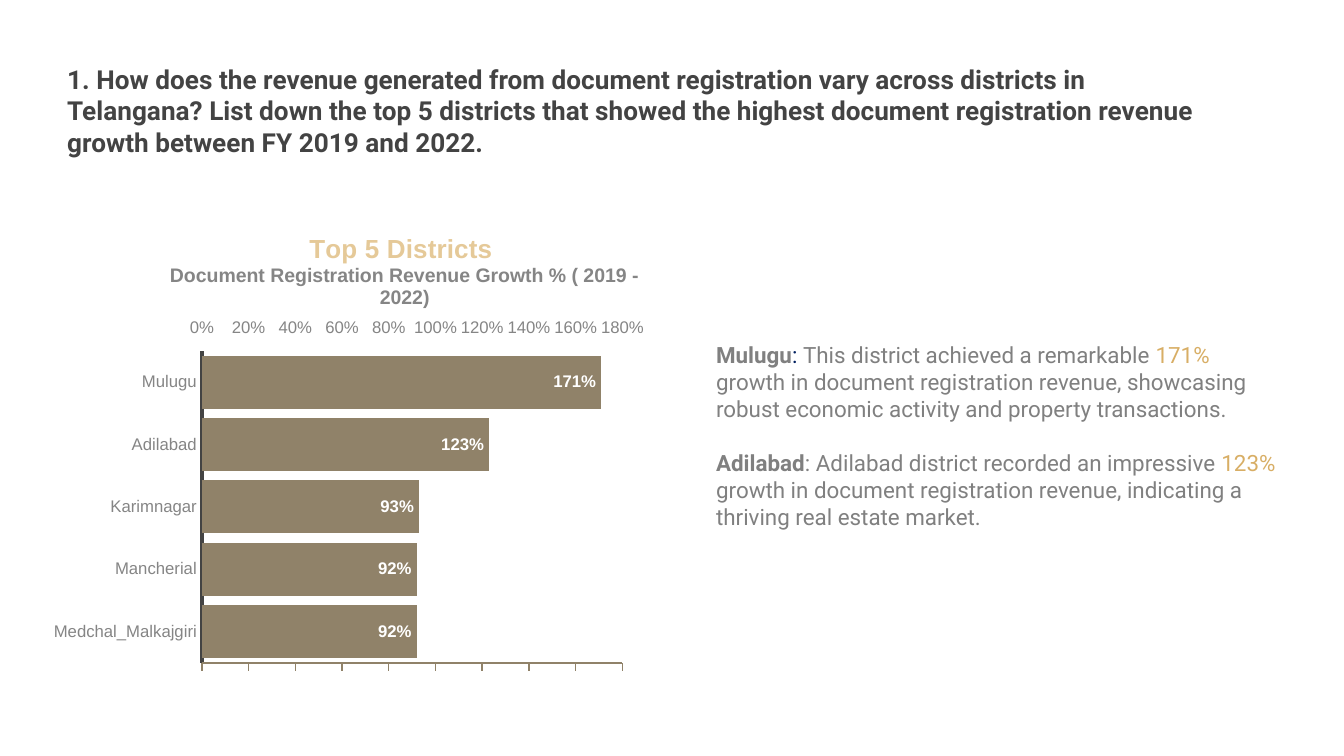
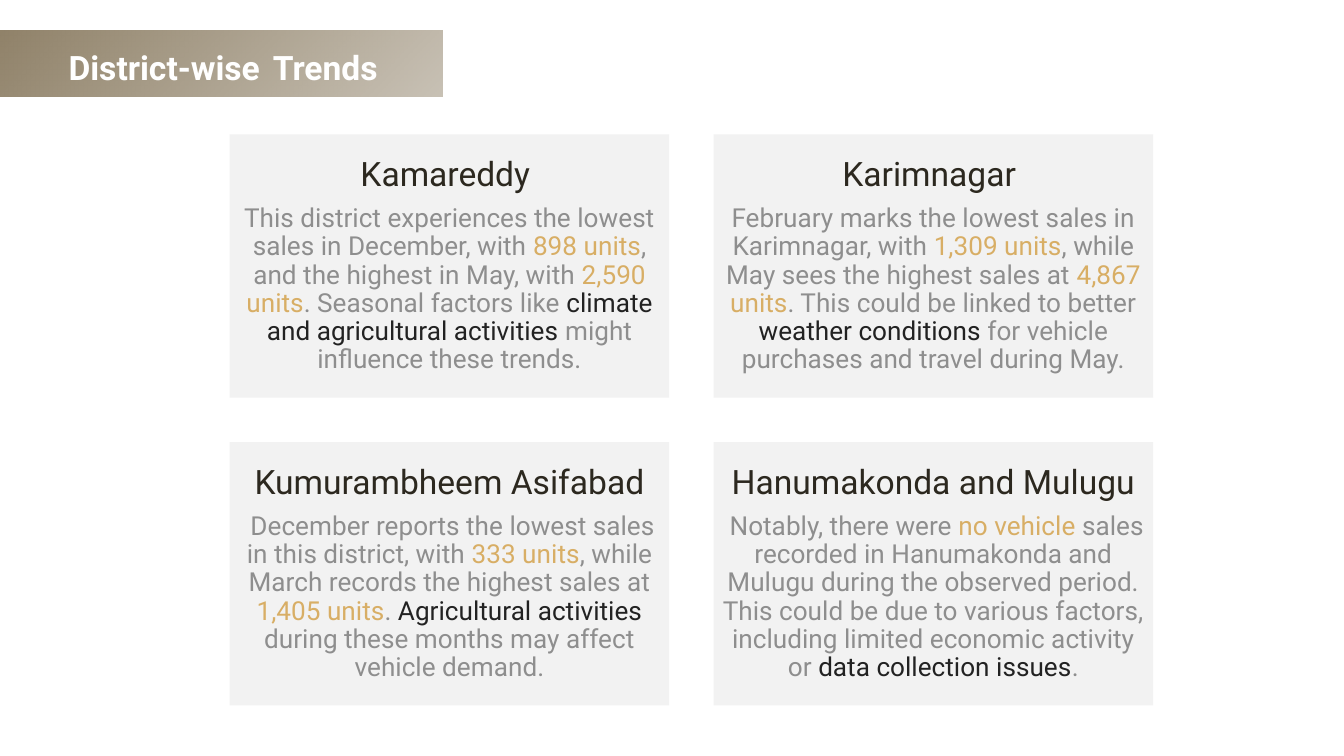
from dataclasses import dataclass

from lxml import etree
from pptx import Presentation
from pptx import util as u
from pptx.chart import data as chart_data
from pptx.dml.color import RGBColor
from pptx.enum import chart as charts, shapes, text
from pptx.oxml import ns

# Shared style
COLORS = {
    "heading": "434343",
    "bronze": "908269",
    "gold": "D8AE65",
    "pale_gold": "E5C998",
    "gray": "808080",
    "axis_gray": "858585",
    "card_gray": "8E8E8E",
    "card_heading": "2C281F",
    "card_fill": "F2F2F2",
    "ink": "222222",
    "navy": "002060",
    "white": "FFFFFF",
}
FONT = "Roboto"
CHART_FONT = "Arial"


@dataclass(frozen=True)
class Span:
    text: str
    color: str
    size: float = 14
    bold: bool = False
    font: str = FONT


@dataclass(frozen=True)
class Box:
    left: float
    top: float
    width: float
    height: float

    def inches(self) -> tuple:
        return tuple(map(u.Inches, (self.left, self.top, self.width, self.height)))


@dataclass(frozen=True)
class Card:
    heading: str
    body: tuple


def rgb(name: str) -> RGBColor:
    return RGBColor.from_string(COLORS[name])


# Text helpers
def set_font(font, *, color: str, size: float, bold: bool = False, name: str = FONT) -> None:
    font.name, font.size, font.bold = name, u.Pt(size), bold
    font.color.rgb = rgb(color)


def add_text(paragraph, content: str, *, color: str, size: float,
             bold: bool = False, font: str = FONT) -> None:
    """Append text to a paragraph; a newline becomes a line break."""
    for index, line in enumerate(content.split("\n")):
        if index:
            paragraph.add_line_break()
        run = paragraph.add_run()
        run.text = line
        set_font(run.font, color=color, size=size, bold=bold, name=font)


def write(frame, paragraphs: list, align=text.PP_ALIGN.LEFT) -> None:
    for index, spans in enumerate(paragraphs):
        paragraph = frame.add_paragraph() if index else frame.paragraphs[0]
        paragraph.alignment = align
        for span in spans:
            add_text(paragraph, span.text, color=span.color, size=span.size,
                     bold=span.bold, font=span.font)


def prepare_frame(frame, inset: float, anchor=text.MSO_ANCHOR.TOP) -> None:
    frame.word_wrap = True
    frame.auto_size = text.MSO_AUTO_SIZE.NONE
    frame.vertical_anchor = anchor
    frame.margin_left = frame.margin_right = u.Inches(inset)
    frame.margin_top = frame.margin_bottom = u.Inches(inset)


def add_titled_slide(presentation, box: Box, spans: list):
    slide = presentation.slides.add_slide(presentation.slide_layouts[5])
    title = slide.shapes.title
    title.left, title.top, title.width, title.height = box.inches()
    prepare_frame(title.text_frame, 0.1)
    write(title.text_frame, [spans])
    return slide


def add_rectangle(slide, box: Box):
    shape = slide.shapes.add_shape(shapes.MSO_SHAPE.RECTANGLE, *box.inches())
    shape.shadow.inherit = False
    shape.line.fill.background()
    return shape


# Chart
def add_layout(parent, fractions: dict, after: str = "", inner: bool = False) -> None:
    """Give a chart part a fixed place, as fractions of the chart."""
    for old in parent.findall(ns.qn("c:layout")):
        parent.remove(old)
    layout = etree.Element(ns.qn("c:layout"))
    manual = etree.SubElement(layout, ns.qn("c:manualLayout"))
    values = {"layoutTarget": "inner"} if inner else {}
    values |= {"xMode": "edge", "yMode": "edge"} | fractions
    for tag, value in values.items():
        etree.SubElement(manual, ns.qn(f"c:{tag}")).set("val", str(value))
    if after:
        parent.find(ns.qn(after)).addnext(layout)
    else:
        parent.insert(0, layout)


def style_axis(axis, tick, color: str, width: float) -> None:
    axis.has_major_gridlines = False
    axis.major_tick_mark = tick
    axis.minor_tick_mark = charts.XL_TICK_MARK.NONE
    set_font(axis.tick_labels.font, color="axis_gray", size=9, name=CHART_FONT)
    axis.format.line.color.rgb = rgb(color)
    axis.format.line.width = u.Pt(width)


def add_growth_chart(slide, box: Box, growth: dict) -> None:
    data = chart_data.CategoryChartData(number_format="0%")
    data.categories = list(growth)
    data.add_series("Series 1", list(growth.values()))
    chart = slide.shapes.add_chart(
        charts.XL_CHART_TYPE.BAR_CLUSTERED, *box.inches(), data).chart
    set_font(chart.font, color="heading", size=10, name=CHART_FONT)
    chart.has_legend = False

    title = chart.chart_title
    write(title.text_frame, [
        [Span("Top 5 Districts ", "pale_gold", 14, True, CHART_FONT)],
        [Span("Document Registration Revenue Growth % ( 2019 - 2022)",
              "axis_gray", 10.5, True, CHART_FONT)],
    ], text.PP_ALIGN.CENTER)
    title.include_in_layout = False
    add_layout(title._element, {"x": 0.18, "y": 0.03}, after="c:tx")
    add_layout(chart._chartSpace.chart.plotArea,
               {"x": 0.24, "y": 0.29, "w": 0.7, "h": 0.66}, inner=True)

    # The value axis runs along the top
    style_axis(chart.category_axis, charts.XL_TICK_MARK.NONE, "heading", 1.75)
    value_axis = chart.value_axis
    style_axis(value_axis, charts.XL_TICK_MARK.OUTSIDE, "bronze", 0.75)
    chart.category_axis.crosses = charts.XL_AXIS_CROSSES.MAXIMUM
    value_axis._element.find(ns.qn("c:axPos")).set("val", "t")
    value_axis.tick_label_position = charts.XL_TICK_LABEL_POSITION.HIGH
    value_axis.minimum_scale, value_axis.maximum_scale = 0, 1.8
    value_axis.major_unit = 0.2
    value_axis.tick_labels.number_format = "0%"
    value_axis.tick_labels.number_format_is_linked = False

    plot = chart.plots[0]
    plot.gap_width = 18
    plot.vary_by_categories = False
    fill = plot.series[0].format.fill
    fill.solid()
    fill.fore_color.rgb = rgb("bronze")
    labels = plot.series[0].data_labels
    labels.show_value = True
    labels.position = charts.XL_LABEL_POSITION.INSIDE_END
    labels.number_format, labels.number_format_is_linked = "0%", False
    set_font(labels.font, color="white", size=9, bold=True, name=CHART_FONT)


# Band and cards
def add_band(slide, box: Box) -> None:
    band = add_rectangle(slide, box)
    band.fill.gradient()
    band.fill.gradient_angle = 315
    for stop in band.fill.gradient_stops:
        stop.color.rgb = rgb("bronze")
    last_color = band.element.findall(".//" + ns.qn("a:gs"))[-1][0]
    etree.SubElement(last_color, ns.qn("a:alpha")).set("val", "49000")
    slide.shapes.title.element.addprevious(band.element)


def add_card(slide, box: Box, card: Card) -> None:
    shape = add_rectangle(slide, box)
    shape.fill.solid()
    shape.fill.fore_color.rgb = rgb("card_fill")
    frame = shape.text_frame
    prepare_frame(frame, 0.06, text.MSO_ANCHOR.MIDDLE)
    write(frame, [[Span(card.heading, "card_heading", 18)], card.body],
          text.PP_ALIGN.CENTER)
    for paragraph in frame.paragraphs:
        paragraph.line_spacing = 0.9
    frame.paragraphs[0].space_after = u.Pt(6)


def plain(content: str) -> Span:
    return Span(content, "card_gray")


def figure(content: str) -> Span:
    return Span(content, "gold")


def cause(content: str) -> Span:
    return Span(content, "ink")


CARDS = [
    Card("Kamareddy ", (
        plain("This district experiences the lowest sales in December, with "),
        figure("898 units"), plain(", and the highest in May, with "),
        figure("2,590 units"), plain(". Seasonal factors like "),
        cause("climate and agricultural activities "),
        plain("might influence these trends."))),
    Card("Karimnagar ", (
        plain("February marks the lowest sales in Karimnagar, with "),
        figure("1,309 units"), plain(", while May sees the highest sales at "),
        figure("4,867 units"), plain(". This could be linked to better "),
        cause("weather conditions"),
        plain(" for vehicle purchases and travel during May."))),
    Card("Kumurambheem Asifabad", (
        plain(" December reports the lowest sales in this district, with "),
        figure("333 units"), plain(", while March records the highest sales at "),
        figure("1,405 units"), plain(". "), cause("Agricultural activities "),
        plain("during these months may affect vehicle demand."))),
    Card("Hanumakonda and Mulugu", (
        plain(" Notably, there were "), figure("no vehicle "),
        plain("sales recorded in Hanumakonda and Mulugu during the observed period. "
              "This could be due to various factors, including limited economic "
              "activity or "),
        cause("data collection issues"), plain("."))),
]


# Slides
def build_revenue_slide(presentation) -> None:
    slide = add_titled_slide(presentation, Box(0.4, 0.37, 9.21, 0.84), [Span(
        "1. How does the revenue generated from document registration vary across "
        "districts in\nTelangana? List down the top 5 districts that showed the highest "
        "document registration revenue growth between FY 2019 and 2022.",
        "heading", bold=True)])
    add_growth_chart(slide, Box(0.4, 1.59, 4.5, 3.52), {
        "Medchal_Malkajgiri": 0.92, "Mancherial": 0.92, "Karimnagar": 0.93,
        "Adilabad": 1.23, "Mulugu": 1.71})

    frame = slide.shapes.add_textbox(*Box(5.23, 2.44, 4.4, 2.2).inches()).text_frame
    prepare_frame(frame, 0.1)
    write(frame, [
        [Span("Mulugu", "gray", 12, True), Span(": ", "navy", 12),
         Span("This district achieved a remarkable ", "gray", 12),
         Span("171% ", "gold", 12),
         Span("growth in document registration revenue, showcasing robust economic "
              "activity and property transactions.", "gray", 12)],
        [Span("Adilabad", "gray", 12, True),
         Span(": Adilabad district recorded an impressive ", "gray", 12),
         Span("123%", "gold", 12),
         Span(" growth in document registration revenue, indicating a thriving real "
              "estate market.", "gray", 12)],
    ])
    frame.paragraphs[1].space_before = u.Pt(14.5)


def build_trends_slide(presentation) -> None:
    slide = add_titled_slide(presentation, Box(0.41, 0.11, 5.66, 0.53), [
        Span("District-wise", "white", 18, True),
        Span(" ", "white", 28, True, "Lato"),
        Span("Trends", "white", 18, True)])
    add_band(slide, Box(0, 0.23, 3.29, 0.49))
    width, height, gap = 3.27, 1.96, 0.33
    for index, card in enumerate(CARDS):
        row, column = divmod(index, 2)
        add_card(slide, Box(1.71 + column * (width + gap), 1 + row * (height + gap),
                            width, height), card)


def main() -> None:
    presentation = Presentation()
    # Widescreen, 16:9
    presentation.slide_width = u.Inches(10)
    presentation.slide_height = u.Inches(10 * 9 / 16)
    build_revenue_slide(presentation)
    build_trends_slide(presentation)
    presentation.save("out.pptx")


if __name__ == "__main__":
    main()
